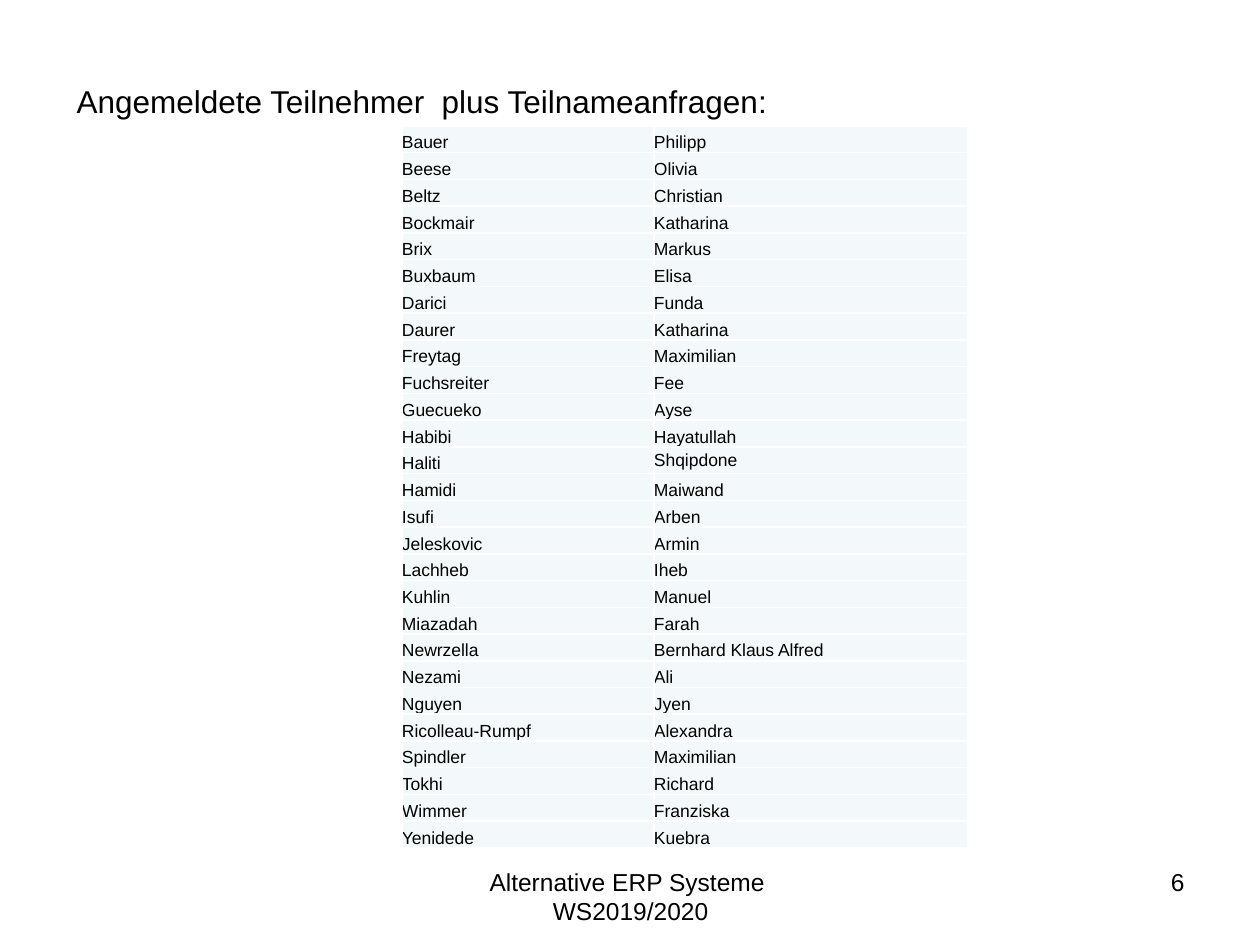
from lxml import etree
from pptx import Presentation
from pptx.dml.color import RGBColor
from pptx.enum.text import MSO_ANCHOR as ANCHOR, MSO_AUTO_SIZE as AUTO, PP_ALIGN as ALIGN
from pptx.oxml.ns import qn
from pptx.util import Inches, Pt

BLACK = RGBColor(0x00, 0x00, 0x00)
WHITE = RGBColor(0xFF, 0xFF, 0xFF)
CELL_FILL = RGBColor(0xF3, 0xF9, 0xFA)
FONT = "Arial"

PARTICIPANTS = [
    ("Bauer", "Philipp"),
    ("Beese", "Olivia"),
    ("Beltz", "Christian"),
    ("Bockmair", "Katharina"),
    ("Brix", "Markus"),
    ("Buxbaum", "Elisa"),
    ("Darici", "Funda"),
    ("Daurer", "Katharina"),
    ("Freytag", "Maximilian"),
    ("Fuchsreiter", "Fee"),
    ("Guecueko", "Ayse"),
    ("Habibi", "Hayatullah"),
    ("Haliti", "Shqipdone"),
    ("Hamidi", "Maiwand"),
    ("Isufi", "Arben"),
    ("Jeleskovic", "Armin"),
    ("Lachheb", "Iheb"),
    ("Kuhlin", "Manuel"),
    ("Miazadah", "Farah"),
    ("Newrzella", "Bernhard Klaus Alfred"),
    ("Nezami", "Ali"),
    ("Nguyen", "Jyen"),
    ("Ricolleau-Rumpf", "Alexandra"),
    ("Spindler", "Maximilian"),
    ("Tokhi", "Richard"),
    ("Wimmer", "Franziska"),
    ("Yenidede", "Kuebra"),
]
COLUMN_WIDTHS = (2, 2.49)
CENTERED_NAME = "Shqipdone"


def format_text(tf, size, align=ALIGN.LEFT):
    for p in tf.paragraphs:
        p.alignment = align
        for r in p.runs:
            r.font.name = FONT
            r.font.size = Pt(size)
            r.font.color.rgb = BLACK


def add_text(slide, box, text, size, align=ALIGN.LEFT, wrap=True):
    tf = slide.shapes.add_textbox(*map(Inches, box)).text_frame
    tf.word_wrap = wrap
    tf.auto_size = AUTO.NONE if wrap else AUTO.SHAPE_TO_FIT_TEXT
    tf.text = text
    format_text(tf, size, align)


def add_borders(cell):
    """Thin white lines; they must stand before the cell's fill."""
    props = cell._tc.get_or_add_tcPr()
    for i, side in enumerate(("lnL", "lnR", "lnT", "lnB")):
        line = etree.Element(qn(f"a:{side}"), w=str(Pt(1)))
        fill = etree.SubElement(line, qn("a:solidFill"))
        etree.SubElement(fill, qn("a:srgbClr"), val=str(WHITE))
        props.insert(i, line)


def fill_cell(cell, name):
    cell.margin_left = cell.margin_right = cell.margin_top = cell.margin_bottom = 0
    cell.vertical_anchor = ANCHOR.MIDDLE if name == CENTERED_NAME else ANCHOR.BOTTOM
    cell.fill.solid()
    cell.fill.fore_color.rgb = CELL_FILL
    add_borders(cell)
    cell.text_frame.text = name
    format_text(cell.text_frame, 10)


def add_participants(slide):
    table = slide.shapes.add_table(
        len(PARTICIPANTS), len(COLUMN_WIDTHS),
        Inches(3.19), Inches(1), Inches(sum(COLUMN_WIDTHS)), Inches(5.74)).table
    table.first_row = table.horz_banding = False
    for column, width in zip(table.columns, COLUMN_WIDTHS):
        column.width = Inches(width)
    for row, names in zip(table.rows, PARTICIPANTS):
        for cell, name in zip(row.cells, names):
            fill_cell(cell, name)


def main():
    prs = Presentation()
    prs.slide_width, prs.slide_height = Inches(10), Inches(7.5)
    slide = prs.slides.add_slide(prs.slide_layouts[6])

    # Footer and slide number
    add_text(slide, (3.42, 6.83, 3.17, 0.52),
             "Alternative ERP Systeme \nWS2019/2020", 14, ALIGN.CENTER)
    add_text(slide, (7.17, 6.83, 2.33, 0.52), "6", 14, ALIGN.RIGHT)

    # Heading and list of participants
    add_text(slide, (0.51, 0.6, 5.73, 0.4),
             "Angemeldete Teilnehmer  plus Teilnameanfragen:", 18, wrap=False)
    add_participants(slide)

    prs.save("out.pptx")


if __name__ == "__main__":
    main()
